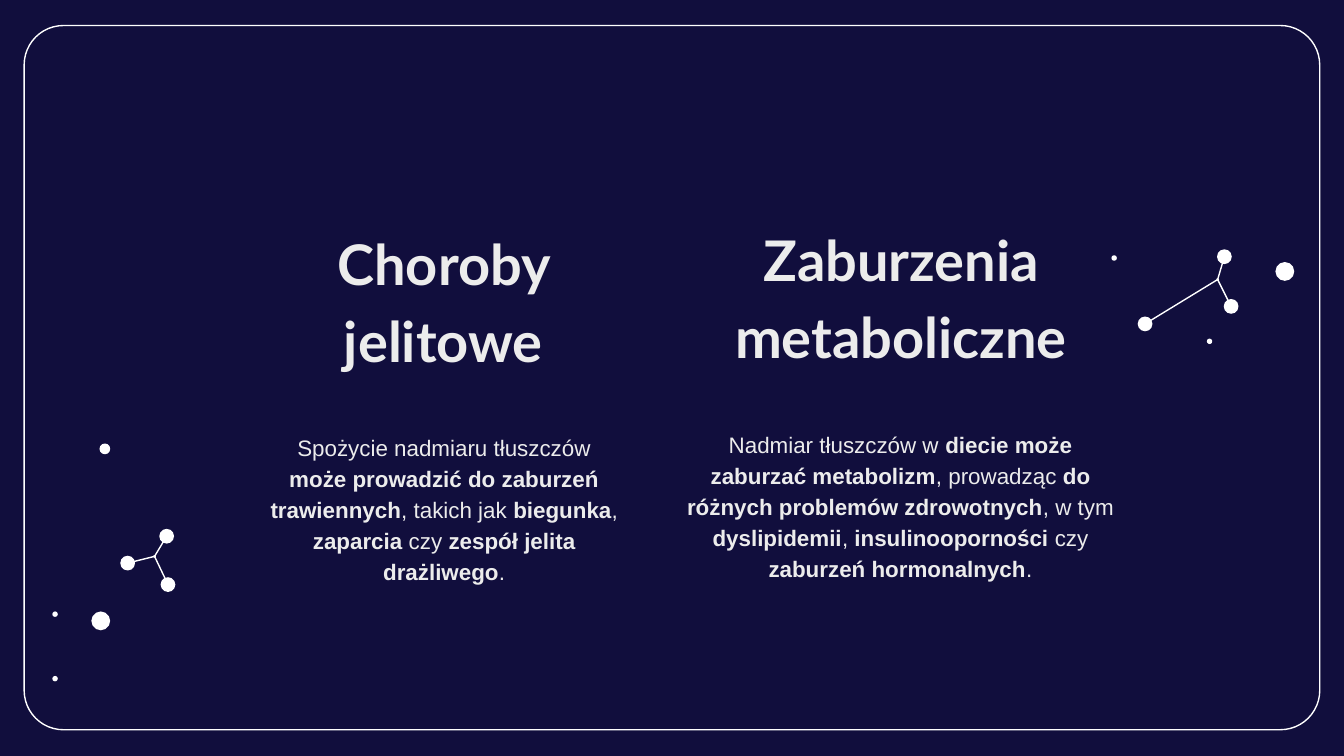
"""Build a slide on two kinds of illness, framed by constellations."""
import pptx
import pptx.util
import pptx.dml.color
import pptx.enum.shapes
import pptx.enum.text
import pptx.oxml.ns
import lxml.etree

WIDE = 10
HIGH = WIDE * 9 / 16
NIGHT, STAR, PALE = "110E3D", "FFFFFF", "ECECEC"
FRAME = (0.18, 0.19, 9.64, 5.24)

TITLES = [
    ("Choroby jelitowe", (2.4, 1.55, 1.8, 1.33)),
    ("Zaburzenia metaboliczne", (5.35, 1.56, 2.71, 1.29)),
]
BODIES = [
    ("Spożycie nadmiaru tłuszczów *może prowadzić do zaburzeń trawiennych*, "
     "takich jak *biegunka*, *zaparcia* czy *zespół jelita drażliwego*.",
     (1.89, 3.1, 2.83, 1.12)),
    ("Nadmiar tłuszczów w *diecie może zaburzać metabolizm*, prowadząc "
     "*do różnych problemów zdrowotnych*, w tym *dyslipidemii*, "
     "*insulinooporności* czy *zaburzeń hormonalnych*.",
     (4.96, 3.08, 3.48, 1.12)),
]
STARS = [
    (9.56, 2.02, 0.14), (0.75, 4.62, 0.14), (0.78, 3.34, 0.08),
    (0.41, 4.57, 0.04), (0.41, 5.05, 0.04),
    (9, 2.54, 0.04), (8.29, 1.92, 0.04),
]
WEBS = [
    ((1.15, 4.14), [(0.95, 4.19), (1.25, 4.35), (1.24, 3.99)]),
    ((9.06, 2.08), [(8.52, 2.41), (9.16, 2.28), (9.11, 1.91)]),
]
NODE, HUB = 0.11, 0.02

Inches = pptx.util.Inches
Kind = pptx.enum.shapes.MSO_SHAPE


def color(code):
    return pptx.dml.color.RGBColor.from_string(code)


def stroke(line):
    line.color.rgb = color(STAR)
    line.width = pptx.util.Pt(0.75)


def add_frame(slide):
    shape = slide.shapes.add_shape(Kind.ROUNDED_RECTANGLE, *map(Inches, FRAME))
    shape.adjustments[0] = 0.056
    shape.shadow.inherit = False
    shape.fill.background()
    stroke(shape.line)


def add_star(slide, x, y, size):
    box = (x - size / 2, y - size / 2, size, size)
    star = slide.shapes.add_shape(Kind.OVAL, *map(Inches, box))
    star.shadow.inherit = False
    star.fill.solid()
    star.fill.fore_color.rgb = color(STAR)
    star.line.fill.background()


def add_web(slide, hub, nodes):
    for node in nodes:
        link = slide.shapes.add_connector(
            pptx.enum.shapes.MSO_CONNECTOR.STRAIGHT, *map(Inches, node + hub))
        stroke(link.line)
        lxml.etree.SubElement(link.element.spPr, pptx.oxml.ns.qn("a:effectLst"))
        add_star(slide, *node, NODE)
    add_star(slide, *hub, HUB)


def add_text(slide, text, box, font, size, anchor, bold=False):
    frame = slide.shapes.add_textbox(*map(Inches, box)).text_frame
    frame.word_wrap = True
    frame.vertical_anchor = anchor
    frame.margin_left = frame.margin_right = Inches(0.1)
    frame.margin_top = frame.margin_bottom = Inches(0.1)
    para = frame.paragraphs[0]
    para.alignment = pptx.enum.text.PP_ALIGN.CENTER
    para.line_spacing = 1.15
    para.font.name = font
    para.font.size = pptx.util.Pt(size)
    para.font.color.rgb = color(PALE)
    for index, part in enumerate(text.split("*")):
        run = para.add_run()
        run.text = part
        run.font.bold = bold or index % 2 == 1


def main():
    deck = pptx.Presentation()
    deck.slide_width, deck.slide_height = Inches(WIDE), Inches(HIGH)
    slide = deck.slides.add_slide(deck.slide_layouts[6])
    slide.background.fill.solid()
    slide.background.fill.fore_color.rgb = color(NIGHT)
    add_frame(slide)
    anchor = pptx.enum.text.MSO_ANCHOR
    for text, box in BODIES:
        add_text(slide, text, box, "Arial", 12, anchor.TOP)
    for text, box in TITLES:
        add_text(slide, text, box, "Lato", 30, anchor.BOTTOM, True)
    for star in STARS:
        add_star(slide, *star)
    for hub, nodes in WEBS:
        add_web(slide, hub, nodes)
    deck.save("out.pptx")


if __name__ == "__main__":
    main()
